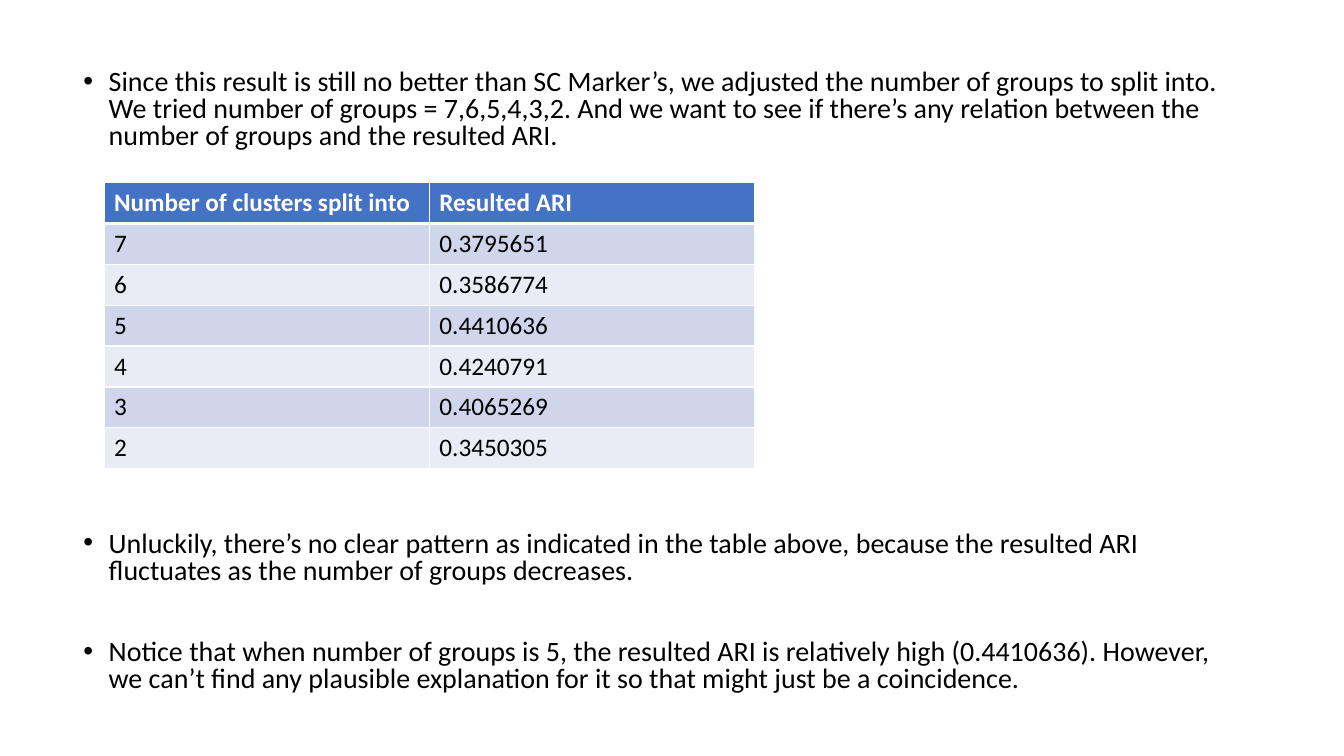
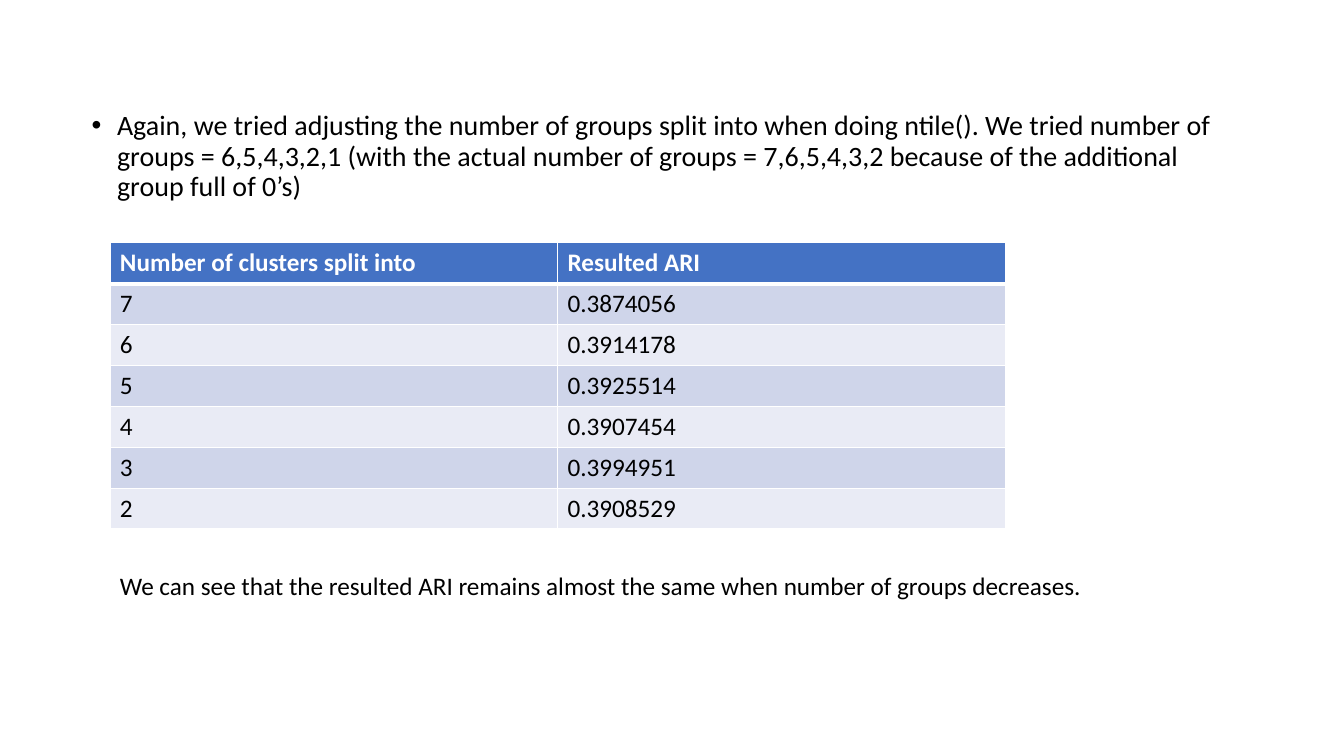
"""Build two slides on how the number of groups affects the resulted ARI."""
import dataclasses

import lxml.etree
import pptx
import pptx.dml.color
import pptx.enum.text
import pptx.oxml.ns
import pptx.util

Cm = pptx.util.Cm
Pt = pptx.util.Pt
qn = pptx.oxml.ns.qn


@dataclasses.dataclass(frozen=True)
class Theme:
    font: str = "Calibri"
    bullet_font: str = "Arial"
    text: str = "000000"
    white: str = "FFFFFF"
    header: str = "4472C4"
    bands: tuple = ("CFD5EA", "E9EBF5")
    bullet_size: int = 20
    table_size: int = 18
    indent: float = 0.64
    row_height: float = 1.03
    border: int = 1
    header_border: int = 3


THEME = Theme()
TABLE_HEADINGS = ("Number of clusters split into", "Resulted ARI")


def rgb(code):
    return pptx.dml.color.RGBColor.from_string(code)


def format_runs(para, size, color=THEME.text, bold=False):
    for span in para.runs:
        span.font.name = THEME.font
        span.font.size = Pt(size)
        span.font.color.rgb = rgb(color)
        span.font.bold = bold


def add_text_frame(page, left, top, width, height):
    box = page.shapes.add_textbox(Cm(left), Cm(top), Cm(width), Cm(height))
    frame = box.text_frame
    frame.word_wrap = True
    frame.vertical_anchor = pptx.enum.text.MSO_ANCHOR.TOP
    return frame


def add_bullet_marker(para):
    properties = para._p.get_or_add_pPr()
    properties.set("marL", str(Cm(THEME.indent)))
    properties.set("indent", str(-Cm(THEME.indent)))
    lxml.etree.SubElement(properties, qn("a:buFont"), typeface=THEME.bullet_font)
    lxml.etree.SubElement(properties, qn("a:buChar"), char="•")


def add_bullets(page, left, top, width, height, line_spacing, items):
    frame = add_text_frame(page, left, top, width, height)
    frame.text = "\n".join(text for text, _ in items)
    for para, (_, space_before) in zip(frame.paragraphs, items):
        para.line_spacing = line_spacing
        para.space_before = Pt(space_before)
        add_bullet_marker(para)
        format_runs(para, THEME.bullet_size)


def add_caption(page, left, top, width, height, text):
    frame = add_text_frame(page, left, top, width, height)
    frame.text = text
    format_runs(frame.paragraphs[0], THEME.table_size)


def set_borders(cell, row_index):
    properties = cell._tc.get_or_add_tcPr()
    for side in ("L", "R", "T", "B"):
        below_header = (row_index, side) in ((0, "B"), (1, "T"))
        weight = THEME.header_border if below_header else THEME.border
        line = lxml.etree.SubElement(properties, qn(f"a:ln{side}"), w=str(Pt(weight)))
        fill = lxml.etree.SubElement(line, qn("a:solidFill"))
        lxml.etree.SubElement(fill, qn("a:srgbClr"), val=THEME.white)


def style_cell(cell, row_index):
    is_header = row_index == 0
    set_borders(cell, row_index)
    cell.fill.solid()
    band = THEME.bands[(row_index - 1) % len(THEME.bands)]
    cell.fill.fore_color.rgb = rgb(THEME.header if is_header else band)
    color = THEME.white if is_header else THEME.text
    format_runs(cell.text_frame.paragraphs[0], THEME.table_size, color, is_header)


def add_ari_table(page, left, top, column_width, results):
    rows = [TABLE_HEADINGS, *results]
    columns = len(TABLE_HEADINGS)
    frame = page.shapes.add_table(
        len(rows), columns, Cm(left), Cm(top),
        Cm(column_width * columns), Cm(THEME.row_height * len(rows)),
    )
    table = frame.table
    table.horz_banding = False
    for column in table.columns:
        column.width = Cm(column_width)
    for row_index, values in enumerate(rows):
        table.rows[row_index].height = Cm(THEME.row_height)
        for column_index, value in enumerate(values):
            cell = table.cell(row_index, column_index)
            cell.text_frame.text = value
            style_cell(cell, row_index)


def build_first_adjustment(page):
    add_bullets(page, 1.85, 1.65, 29.21, 16.03, 0.8, [
        ("Since this result is still no better than SC Marker’s, we adjusted the "
         "number of groups to split into. We tried number of groups = 7,6,5,4,3,2. "
         "And we want to see if there’s any relation between the number of groups "
         "and the resulted ARI.", 10),
        ("Unluckily, there’s no clear pattern as indicated in the table above, "
         "because the resulted ARI fluctuates as the number of groups decreases.", 272),
        ("Notice that when number of groups is 5, the resulted ARI is relatively "
         "high (0.4410636). However, we can’t find any plausible explanation for it "
         "so that might just be a coincidence.", 39),
    ])
    add_ari_table(page, 2.62, 4.6, 8.2, [
        ("7", "0.3795651"),
        ("6", "0.3586774"),
        ("5", "0.4410636"),
        ("4", "0.4240791"),
        ("3", "0.4065269"),
        ("2", "0.3450305"),
    ])


def build_ntile_adjustment(page):
    add_bullets(page, 2.06, 2.69, 29.21, 12.09, 0.9, [
        ("Again, we tried adjusting the number of groups split into when doing "
         "ntile(). We tried number of groups = 6,5,4,3,2,1 (with the actual number "
         "of groups = 7,6,5,4,3,2 because of the additional group full of 0’s)", 10),
    ])
    add_ari_table(page, 2.77, 6.12, 11.28, [
        ("7", "0.3874056"),
        ("6", "0.3914178"),
        ("5", "0.3925514"),
        ("4", "0.3907454"),
        ("3", "0.3994951"),
        ("2", "0.3908529"),
    ])
    add_caption(
        page, 2.77, 14.25, 25.2, 1.02,
        "We can see that the resulted ARI remains almost the same when number of "
        "groups decreases.",
    )


def main():
    deck = pptx.Presentation()
    deck.slide_width = Cm(33.87)
    deck.slide_height = Cm(19.05)
    blank = deck.slide_layouts[6]
    for build in (build_first_adjustment, build_ntile_adjustment):
        build(deck.slides.add_slide(blank))
    deck.save("out.pptx")


if __name__ == "__main__":
    main()
